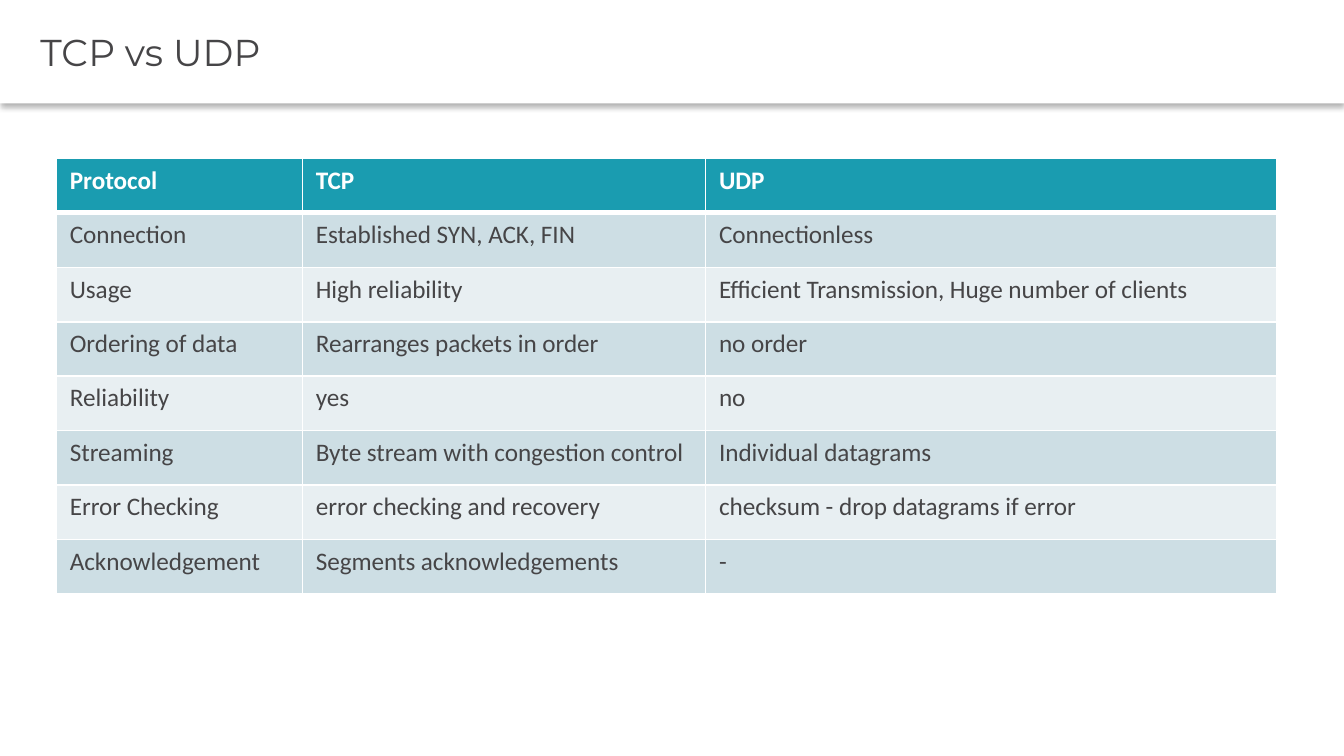
from lxml.etree import SubElement as Sub
from pptx import Presentation as Deck
from pptx.dml.color import RGBColor as Color
from pptx.enum.text import MSO_ANCHOR as Anchor, MSO_AUTO_SIZE as Auto, PP_ALIGN as Align
from pptx.oxml.ns import qn
from pptx.util import Inches, Pt

WHITE = Color(0xFF, 0xFF, 0xFF)
BLACK = Color(0, 0, 0)
TEAL = Color(0x1A, 0x9C, 0xB0)
DARK = Color(0x46, 0x45, 0x47)
BANDS = Color(0xE8, 0xEF, 0xF2), Color(0xCD, 0xDE, 0xE4)

WIDE = Inches(10)
HIGH = WIDE * 9 // 16
COLS = 1.83, 3, 4.25
ROWS = (
    ("Protocol", "TCP", "UDP"),
    ("Connection", "Established SYN, ACK, FIN", "Connectionless"),
    ("Usage", "High reliability", "Efficient Transmission, Huge number of clients"),
    ("Ordering of data", "Rearranges packets in order", "no order"),
    ("Reliability", "yes", "no"),
    ("Streaming", "Byte stream with congestion control", "Individual datagrams"),
    ("Error Checking", "error checking and recovery", "checksum - drop datagrams if error"),
    ("Acknowledgement", "Segments acknowledgements", "-"),
)


def add_run(para, text, face, size, color, bold=False):
    run = para.add_run()
    run.text = text
    font = run.font
    font.name, font.size, font.bold = face, Pt(size), bold
    font.color.rgb = color


def add_tint(node, color):
    fill = Sub(node, qn("a:solidFill"))
    return Sub(fill, qn("a:srgbClr"), val=str(color))


def add_shade(shape):
    list_ = Sub(shape.element.spPr, qn("a:effectLst"))
    shade = Sub(list_, qn("a:outerShdw"), blurRad=str(Pt(3.1)), dist=str(Pt(2)),
                dir="5400000", algn="t", rotWithShape="0")
    tint = Sub(shade, qn("a:srgbClr"), val=str(BLACK))
    Sub(tint, qn("a:alpha"), val="30000")


def add_title(slide, text):
    title = slide.shapes.title
    title.left, title.top = 0, 0
    title.width, title.height = WIDE, Inches(0.77)
    title.fill.solid()
    title.fill.fore_color.rgb = WHITE
    title.line.fill.background()
    add_shade(title)
    frame = title.text_frame
    frame.word_wrap, frame.auto_size = True, Auto.NONE
    frame.vertical_anchor = Anchor.MIDDLE
    frame.margin_left, frame.margin_right = Inches(0.3), Inches(0.07)
    frame.margin_top = frame.margin_bottom = Inches(0.04)
    para = frame.paragraphs[0]
    para.alignment = Align.LEFT
    add_run(para, text, "Montserrat", 20, DARK)


def add_edges(cell, widths):
    props = cell._tc.get_or_add_tcPr()
    for side, width in zip("LRTB", widths):
        edge = Sub(props, qn(f"a:ln{side}"), w=str(Pt(width)))
        add_tint(edge, WHITE)


def fill_cell(cell, text, row):
    head = row == 0
    add_edges(cell, (1, 1, 3 if row == 1 else 1, 3 if head else 1))
    cell.fill.solid()
    cell.fill.fore_color.rgb = TEAL if head else BANDS[row % 2]
    para = cell.text_frame.paragraphs[0]
    add_run(para, text, "Calibri", 13.5, WHITE if head else DARK, head)


def add_grid(slide):
    frame = slide.shapes.add_table(len(ROWS), len(COLS), Inches(0.42), Inches(1.18),
                                   Inches(sum(COLS)), Inches(3.24))
    table = frame.table
    for col, width in zip(table.columns, COLS):
        col.width = Inches(width)
    for row, texts in enumerate(ROWS):
        for col, text in enumerate(texts):
            fill_cell(table.cell(row, col), text, row)


def main():
    deck = Deck()
    deck.slide_width, deck.slide_height = WIDE, HIGH
    slide = deck.slides.add_slide(deck.slide_layouts[5])
    add_title(slide, "TCP vs UDP")
    add_grid(slide)
    deck.save("out.pptx")


if __name__ == "__main__":
    main()
